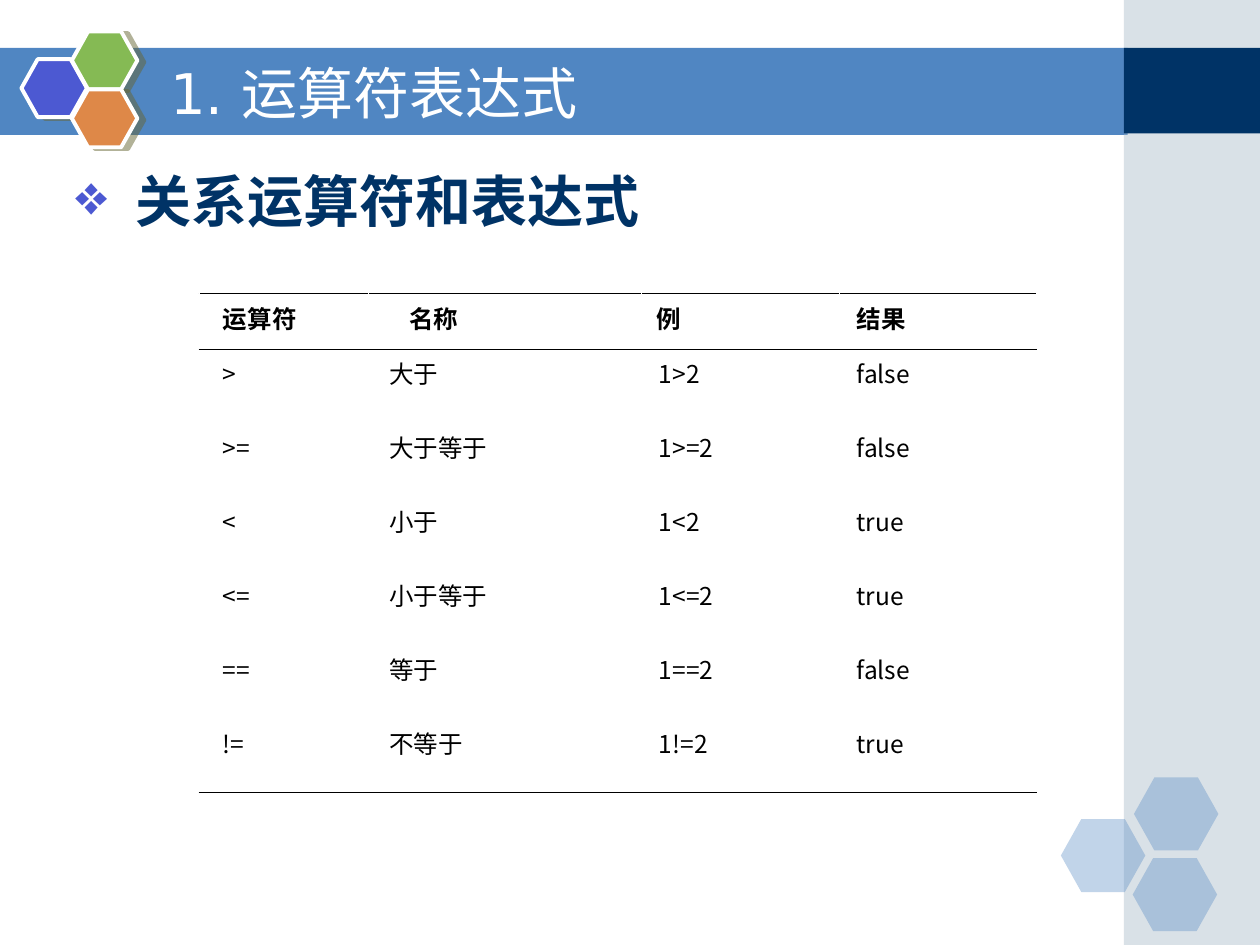
from lxml.etree import SubElement
from pptx import Presentation
from pptx.dml.color import RGBColor
from pptx.enum.shapes import MSO_SHAPE as Shape
from pptx.enum.text import MSO_ANCHOR as Anchor, PP_ALIGN as Align
from pptx.oxml.ns import qn
from pptx.util import Inches, Pt

WHITE = RGBColor(0xFF, 0xFF, 0xFF)
BLACK = RGBColor(0x00, 0x00, 0x00)
NAVY = RGBColor(0x00, 0x33, 0x66)
BLUE = RGBColor(0x50, 0x86, 0xC2)
GREY = RGBColor(0xA0, 0xB5, 0xC4)
VIOLET = RGBColor(0x4C, 0x59, 0xD2)
GREEN = RGBColor(0x85, 0xBA, 0x54)
ORANGE = RGBColor(0xDE, 0x88, 0x48)
OLIVE = RGBColor(0x66, 0x66, 0x33)

TITLE_FONT = "DejaVu Sans"
NAME_FONT = "Calibri"
CODE_FONT = "Noto Sans CJK SC"

COLUMN_WIDTHS = (1.34, 2.17, 1.57, 1.57)
COLUMN_MARGINS = (0.11, 0.09, 0.06, 0.06)
HEADER_INDENTS = (0, 0.16, -0.02, 0)
BODY_FONTS = (CODE_FONT, NAME_FONT, CODE_FONT, CODE_FONT)
HEADER_HEIGHT = 0.44
ROWS = (
    ("运算符", "名称", "例", "结果"),
    (">", "大于", "1>2", "false"),
    (">=", "大于等于", "1>=2", "false"),
    ("<", "小于", "1<2", "true"),
    ("<=", "小于等于", "1<=2", "true"),
    ("==", "等于", "1==2", "false"),
    ("!=", "不等于", "1!=2", "true"),
)


def add_colour(parent, colour, opacity=None):
    """Add a colour element, optionally with an opacity in percent."""
    element = SubElement(parent, qn("a:srgbClr"), val=str(colour))
    if opacity is not None:
        SubElement(element, qn("a:alpha"), val=str(opacity * 1000))


def add_filled(slide, kind, box, colour, opacity=None):
    """Add a borderless preset shape with a solid, possibly sheer, fill."""
    shape = slide.shapes.add_shape(kind, *map(Inches, box))
    shape.shadow.inherit = False
    shape.line.fill.background()
    shape.fill.solid()
    shape.fill.fore_color.rgb = colour
    if opacity is not None:
        solid = shape._element.spPr.find(qn("a:solidFill"))
        solid.clear()
        add_colour(solid, colour, opacity)
    if kind == Shape.HEXAGON:
        shape.adjustments[0] = 0.28
    return shape


def add_hexagon_shadow(shape):
    """Give a shape a hard shadow down and to the right."""
    effects = shape._element.spPr.find(qn("a:effectLst"))
    shadow = SubElement(effects, qn("a:outerShdw"), blurRad="0",
                        dist=str(Pt(4.1)), dir=str(14 * 60000),
                        algn="ctr", rotWithShape="0")
    add_colour(shadow, OLIVE, 50)


def add_band_and_sidebar(slide, left, top, width, height):
    """Draw the title band across the box and the sidebar at its right."""
    sidebar = left + width - 1.08
    add_filled(slide, Shape.RECTANGLE, (left, top + 0.38, sidebar + 0.03, 0.69), BLUE)
    add_filled(slide, Shape.RECTANGLE, (sidebar, top, 1.08, height), GREY, 40)
    add_filled(slide, Shape.RECTANGLE, (sidebar, top + 0.38, 1.08, 0.68), NAVY)


def add_corner_hexagons(slide, left, top):
    """Draw the sheer hexagon cluster with its corner at the given point."""
    for across, down in ((0, 0.33), (0.58, 0), (0.57, 0.64)):
        box = (left + across, top + down, 0.67, 0.58)
        add_filled(slide, Shape.HEXAGON, box, BLUE, 35)


def add_emblem(slide, left, top):
    """Draw the three coloured hexagons with white outlines and shadows."""
    for across, down, colour in ((0, 0.22, VIOLET), (0.4, 0, GREEN), (0.4, 0.46, ORANGE)):
        box = (left + across, top + down, 0.52, 0.46)
        shape = add_filled(slide, Shape.HEXAGON, box, colour)
        shape.line.color.rgb = WHITE
        shape.line.width = Pt(2.25)
        add_hexagon_shadow(shape)


def set_font(paragraph, name, size, colour, bold=False):
    """Format a whole paragraph."""
    font = paragraph.font
    font.name, font.size, font.bold = name, Pt(size), bold
    font.color.rgb = colour


def set_indent(paragraph, margin, indent):
    """Set the left margin and first-line indent of a paragraph."""
    properties = paragraph._p.get_or_add_pPr()
    properties.set("marL", str(Inches(margin)))
    properties.set("indent", str(Inches(indent)))
    return properties


def place_title(slide, left, top, width, height):
    """Place the title in front of the band."""
    title = slide.shapes.title
    slide.shapes._spTree.append(title._element)
    title.left, title.top = Inches(left), Inches(top)
    title.width, title.height = Inches(width), Inches(height)
    title.text_frame.text = "1. 运算符表达式"
    title.text_frame.vertical_anchor = Anchor.MIDDLE
    paragraph = title.text_frame.paragraphs[0]
    paragraph.alignment = Align.LEFT
    set_font(paragraph, TITLE_FONT, 32, WHITE)


def add_heading(slide, left, top, width, height):
    """Add the bulleted heading."""
    box = slide.shapes.add_textbox(*map(Inches, (left, top, width, height)))
    box.text_frame.word_wrap = True
    paragraph = box.text_frame.paragraphs[0]
    paragraph.text = "关系运算符和表达式"
    paragraph.line_spacing = 0.9
    properties = set_indent(paragraph, 0.48, -0.48)
    add_colour(SubElement(properties, qn("a:buClr")), VIOLET)
    SubElement(properties, qn("a:buChar"), char="❖")
    set_font(paragraph, CODE_FONT, 32, NAVY, bold=True)


def add_border(cell, side, colour, width):
    """Add one border line to a cell."""
    properties = cell._tc.get_or_add_tcPr()
    line = SubElement(properties, qn(f"a:ln{side}"), w=str(Pt(width)))
    add_colour(SubElement(line, qn("a:solidFill")), colour)


def format_cell(cell, row, column):
    """Set the borders, margins and font of a cell by its place."""
    header = row == 0
    for side in "LR":
        add_border(cell, side, WHITE, 0.45)
    if row < 2:
        add_border(cell, "T", BLACK, 0.75 if header else 0.45)
    if header or row == len(ROWS) - 1:
        add_border(cell, "B", BLACK, 0.45 if header else 0.75)
    cell.fill.background()
    cell.margin_left = cell.margin_right = Inches(0.08)
    cell.margin_top = cell.margin_bottom = Inches(0.05)
    paragraph = cell.text_frame.paragraphs[0]
    set_indent(paragraph, COLUMN_MARGINS[column], HEADER_INDENTS[column] if header else 0)
    if header and column == 1:
        paragraph.alignment = Align.JUSTIFY
    set_font(paragraph, NAME_FONT if header else BODY_FONTS[column], 14, BLACK, header)


def add_operator_table(slide, left, top, width, height):
    """Add the table of relational operators."""
    frame = slide.shapes.add_table(len(ROWS), len(COLUMN_WIDTHS),
                                   *map(Inches, (left, top, width, height)))
    table = frame.table
    table.first_row = table.horz_banding = False
    for column, column_width in zip(table.columns, COLUMN_WIDTHS):
        column.width = Inches(column_width)
    body_height = (height - HEADER_HEIGHT) / (len(ROWS) - 1)
    for row, texts in enumerate(ROWS):
        table.rows[row].height = Inches(body_height if row else HEADER_HEIGHT)
        for column, text in enumerate(texts):
            cell = table.cell(row, column)
            cell.text = text
            format_cell(cell, row, column)


def main():
    """Build and save the slide."""
    presentation = Presentation()
    presentation.slide_width, presentation.slide_height = Inches(10), Inches(7.5)
    slide = presentation.slides.add_slide(presentation.slide_layouts[5])
    add_band_and_sidebar(slide, 0, 0, 10, 7.5)
    add_corner_hexagons(slide, 8.42, 6.17)
    add_emblem(slide, 0.17, 0.25)
    place_title(slide, 1.25, 0.42, 7.33, 0.62)
    add_heading(slide, 0.5, 1.33, 9, 5.58)
    add_operator_table(slide, 1.58, 2.33, 6.65, 3.96)
    presentation.save("out.pptx")


if __name__ == "__main__":
    main()
